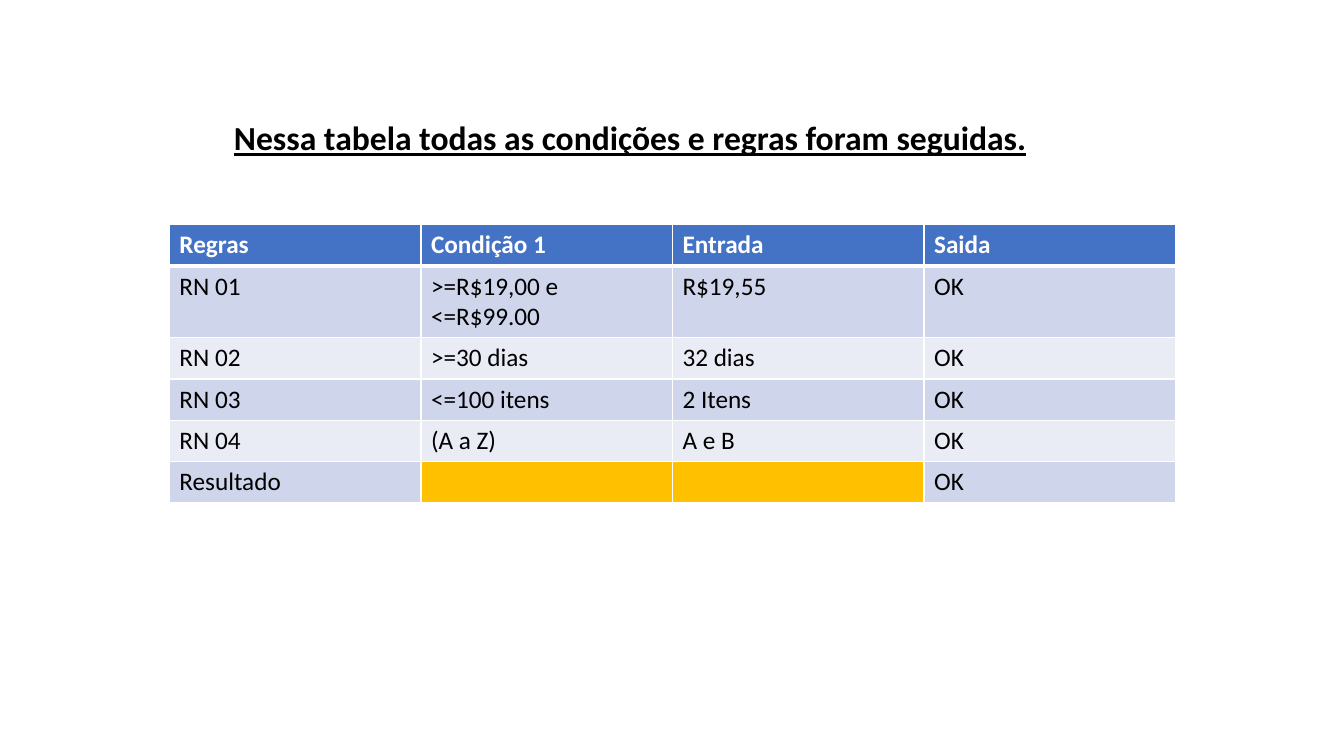
from lxml import etree
from pptx import Presentation
from pptx.dml.color import RGBColor
from pptx.enum.text import MSO_ANCHOR, PP_ALIGN
from pptx.oxml.ns import qn
from pptx.util import Inches, Pt

BOTTOM = MSO_ANCHOR.BOTTOM
CENTER = PP_ALIGN.CENTER
TITLE_ONLY = 5

FONT = "Calibri"
WHITE, BLACK = "FFFFFF", "000000"
HEADER_FILL, RESULT_FILL = "4472C4", "FFC000"
BAND_FILLS = ["E9EBF5", "CFD5EA"]
COLUMN_WIDTH, ROW_HEIGHT = 2.495, 0.41

RULES = [
    ["Regras", "Condição 1", "Entrada", "Saida"],
    ["RN 01", ">=R$19,00 e <=R$99.00", "R$19,55", "OK"],
    ["RN 02", ">=30 dias", "32 dias", "OK"],
    ["RN 03", "<=100 itens", "2 Itens", "OK"],
    ["RN 04", "(A a Z)", "A e B", "OK"],
    ["Resultado", "", "", "OK"],
]


def color(value):
    return RGBColor.from_string(value)


def format_font(font, size, value, bold):
    font.name = FONT
    font.size = Pt(size)
    font.bold = bold
    font.color.rgb = color(value)


def add_title(page, text):
    title = page.shapes.title
    title.left, title.top = Inches(1.25), Inches(0.1)
    title.width, title.height = Inches(10), Inches(1.81)
    frame = title.text_frame
    frame.text = text
    frame.word_wrap = True
    frame.vertical_anchor = BOTTOM
    frame.margin_bottom = Inches(0.34)
    para = frame.paragraphs[0]
    para.alignment = CENTER
    para.line_spacing = 0.9
    span = para.runs[0]
    format_font(span.font, 24, BLACK, True)
    span.font.underline = True


def set_border(cell, side, width):
    properties = cell._tc.get_or_add_tcPr()
    line = etree.SubElement(properties, qn(f"a:ln{side}"), w=str(Pt(width)))
    fill = etree.SubElement(line, qn("a:solidFill"))
    etree.SubElement(fill, qn("a:srgbClr"), val=WHITE)


def format_cell(cell, text, row):
    header = row == 0
    widths = {"L": 1, "R": 1, "T": 3 if row == 1 else 1, "B": 3 if header else 1}
    for side, width in widths.items():
        set_border(cell, side, width)
    fill = HEADER_FILL if header else BAND_FILLS[row % 2] if text else RESULT_FILL
    cell.fill.solid()
    cell.fill.fore_color.rgb = color(fill)
    cell.text_frame.text = text
    for span in cell.text_frame.paragraphs[0].runs:
        format_font(span.font, 18, WHITE if header else BLACK, header)


def add_rules_table(page, rows):
    columns = len(rows[0])
    table = page.shapes.add_table(
        len(rows), columns, Inches(1.68), Inches(2.23),
        Inches(columns * COLUMN_WIDTH), Inches(len(rows) * ROW_HEIGHT),
    ).table
    for row, texts in enumerate(rows):
        for column, text in enumerate(texts):
            format_cell(table.cell(row, column), text, row)


def main():
    deck = Presentation()
    deck.slide_width, deck.slide_height = Inches(13.33), Inches(7.5)
    page = deck.slides.add_slide(deck.slide_layouts[TITLE_ONLY])
    add_rules_table(page, RULES)
    add_title(page, "Nessa tabela todas as condições e regras foram seguidas.")
    deck.save("out.pptx")


if __name__ == "__main__":
    main()
